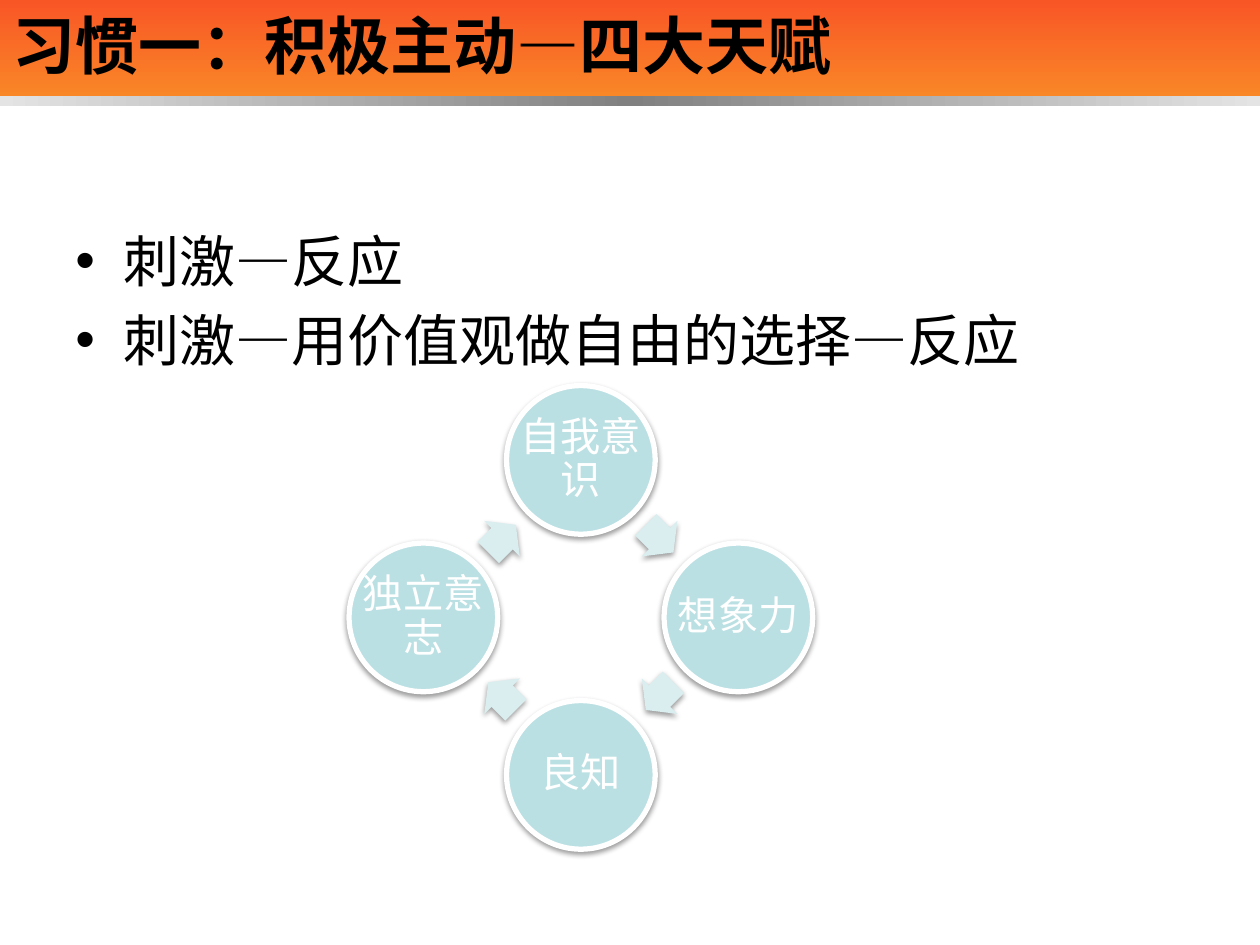
from lxml.etree import SubElement
from pptx import Presentation
from pptx.dml.color import RGBColor
from pptx.enum.shapes import MSO_SHAPE as Shape
from pptx.enum.text import MSO_ANCHOR as Anchor, PP_ALIGN as Align
from pptx.oxml import parse_xml
from pptx.oxml.ns import nsdecls, qn
from pptx.util import Inches, Pt

TITLE = "习惯一：积极主动—四大天赋"
POINTS = ["刺激—反应", "刺激—用价值观做自由的选择—反应"]
GIFTS = ["自我意识", "想象力", "良知", "独立意志"]
BANDS = [
    ((0, 0, 10, 0.76), [(0, "F95626"), (100, "F98627")], 90),
    ((0, 0.76, 10, 0.08), [(0, "E4E4E4"), (50, "808080"), (100, "E4E4E4")], 0),
]

CENTER_X, CENTER_Y, RADIUS = 4.61, 4.9, 1.25
DIRECTIONS = [(0, -1), (1, 0), (0, 1), (-1, 0)]
CIRCLE_SIZE = 1.18
ARROW_SIZE = (0.31, 0.4)

TITLE_FORMAT = {"size": Pt(36), "bold": True, "color": "000000"}
POINT_FORMAT = {"size": Pt(32), "color": "000000"}
GIFT_FORMAT = {"size": Pt(23), "color": "FFFFFF"}
POINT_SPACING = {"space_before": Pt(6.4)}
GIFT_SPACING = {"alignment": Align.CENTER, "line_spacing": 0.9, "space_after": Pt(8)}
GIFT_FRAME = {"vertical_anchor": Anchor.MIDDLE} | {
    f"margin_{side}": Inches(0.03) for side in ("left", "top", "right", "bottom")
}


def rgb(value):
    return RGBColor.from_string(value)


def apply(target, values):
    for name, value in values.items():
        setattr(target, name, value)


def centered(x, y, width, height):
    return x - width / 2, y - height / 2, width, height


def add_shape(slide, kind, box):
    shape = slide.shapes.add_shape(kind, *map(Inches, box))
    shape.shadow.inherit = False
    shape.line.fill.background()
    return shape


def add_band(slide, box, stops, angle):
    band = add_shape(slide, Shape.RECTANGLE, box)
    stop_xml = "".join(
        f'<a:gs pos="{pos * 1000}"><a:srgbClr val="{color}"/></a:gs>' for pos, color in stops
    )
    gradient = parse_xml(
        f'<a:gradFill {nsdecls("a")}><a:gsLst>{stop_xml}</a:gsLst>'
        f'<a:lin ang="{angle * 60000}" scaled="0"/></a:gradFill>'
    )
    band._element.spPr.find(qn("a:prstGeom")).addnext(gradient)


def add_raised(slide, kind, box, color):
    shape = add_shape(slide, kind, box)
    shape.fill.solid()
    shape.fill.fore_color.rgb = rgb(color)
    shape._element.spPr.find(qn("a:effectLst")).append(parse_xml(
        f'<a:outerShdw {nsdecls("a")} blurRad="{Pt(3.1)}" dist="{Pt(1.6)}" dir="5400000" '
        'rotWithShape="0"><a:srgbClr val="000000"><a:alpha val="38000"/></a:srgbClr></a:outerShdw>'
    ))
    return shape


def add_text(slide, box, lines, font_format, spacing={}, frame_format={}):
    frame = slide.shapes.add_textbox(*map(Inches, box)).text_frame
    apply(frame, {"word_wrap": True} | frame_format)
    frame.text = "\n".join(lines)
    for paragraph in frame.paragraphs:
        apply(paragraph, spacing)
        font = paragraph.runs[0].font
        apply(font, {"name": "Arial"} | {k: v for k, v in font_format.items() if k != "color"})
        font.color.rgb = rgb(font_format["color"])
    return frame


def add_bullets(frame):
    for paragraph in frame.paragraphs:
        props = paragraph._p.get_or_add_pPr()
        props.set("marL", str(Inches(0.38)))
        props.set("indent", str(-Inches(0.38)))
        SubElement(props, qn("a:buFont"), typeface="Arial")
        SubElement(props, qn("a:buChar"), char="•")


def add_cycle(slide):
    spots = [(CENTER_X + RADIUS * dx, CENTER_Y + RADIUS * dy) for dx, dy in DIRECTIONS]
    for i, (gift, (x, y)) in enumerate(zip(GIFTS, spots)):
        box = centered(x, y, CIRCLE_SIZE, CIRCLE_SIZE)
        circle = add_raised(slide, Shape.OVAL, box, "BBE0E3")
        circle.line.color.rgb = rgb("FFFFFF")
        circle.line.width = Pt(3)
        add_text(slide, box, [gift], GIFT_FORMAT, GIFT_SPACING, GIFT_FRAME)

        next_x, next_y = spots[(i + 1) % len(spots)]
        arrow_box = centered((x + next_x) / 2, (y + next_y) / 2, *ARROW_SIZE)
        arrow = add_raised(slide, Shape.RIGHT_ARROW, arrow_box, "DAEDEF")
        arrow.adjustments[0], arrow.adjustments[1] = 0.6, 0.5
        arrow.rotation = 45 + 90 * i


def main():
    deck = Presentation()
    deck.slide_width, deck.slide_height = Inches(10), Inches(7.5)
    slide = deck.slides.add_slide(deck.slide_layouts[6])
    for band in BANDS:
        add_band(slide, *band)
    add_text(slide, (0, 0, 9, 0.84), [TITLE], TITLE_FORMAT)
    add_bullets(add_text(slide, (0.5, 1.75, 9, 4.95), POINTS, POINT_FORMAT, POINT_SPACING))
    add_cycle(slide)
    deck.save("out.pptx")


if __name__ == "__main__":
    main()
